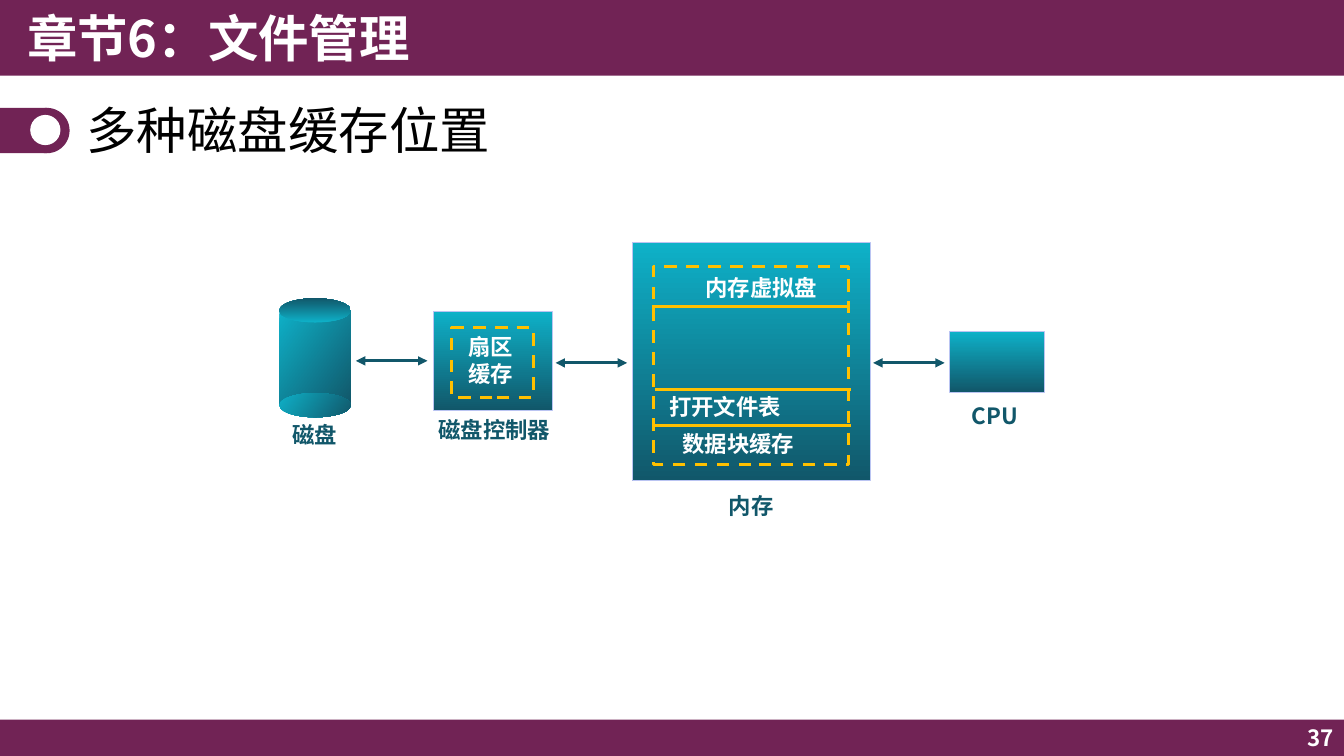
from lxml import etree
from pptx import Presentation
from pptx import util as u
from pptx.dml.color import RGBColor
from pptx.enum import dml, shapes, text
from pptx.oxml.ns import qn

FONT = "Noto Sans CJK SC"
PLUM, WHITE, BLACK = "712355", "FFFFFF", "000000"
AQUA, TEAL, GOLD, EDGE = "0EB1C8", "11576A", "FFC000", "BAC4F2"
RECT, OVAL = shapes.MSO_SHAPE.RECTANGLE, shapes.MSO_SHAPE.OVAL
LEFT, CENTER, RIGHT = text.PP_ALIGN.LEFT, text.PP_ALIGN.CENTER, text.PP_ALIGN.RIGHT
TOP, MIDDLE = text.MSO_ANCHOR.TOP, text.MSO_ANCHOR.MIDDLE
LABEL_HEIGHT = 0.39


def color(value):
    return RGBColor.from_string(value)


def inches(*values):
    return [u.Inches(value) for value in values]


def add_text(page, box, words, size=16, ink=WHITE, bold=True, align=LEFT,
             anchor=TOP, spacing=None):
    """Add a text box with one paragraph for each line of words."""
    frame = page.shapes.add_textbox(*inches(*box)).text_frame
    frame.word_wrap = True
    frame.vertical_anchor = anchor
    for index, line in enumerate(words.split("\n")):
        para = frame.add_paragraph() if index else frame.paragraphs[0]
        para.alignment = align
        para.line_spacing = spacing
        span = para.add_run()
        span.text = line
        span.font.name, span.font.size, span.font.bold = FONT, u.Pt(size), bold
        span.font.color.rgb = color(ink)
        east_asian = etree.SubElement(span.font._element, qn("a:ea"))
        east_asian.set("typeface", FONT)


def finish(shape, fill=None, angle=None, line=None, width=0.75, dashed=False):
    """Paint a shape; an angle (counterclockwise) gives the aqua-teal gradient."""
    shape.shadow.inherit = False
    if angle is not None:
        shape.fill.gradient()
        shape.fill.gradient_angle = angle
        for stop, tint in zip(shape.fill.gradient_stops, (AQUA, TEAL)):
            stop.color.rgb = color(tint)
    elif fill:
        shape.fill.solid()
        shape.fill.fore_color.rgb = color(fill)
    else:
        shape.fill.background()
    if line:
        shape.line.color.rgb = color(line)
        shape.line.width = u.Pt(width)
        if dashed:
            shape.line.dash_style = dml.MSO_LINE.DASH
    else:
        shape.line.fill.background()


def add_shape(page, kind, box, **style):
    finish(page.shapes.add_shape(kind, *inches(*box)), **style)


def add_block(page, box):
    add_shape(page, RECT, box, angle=270, line=EDGE)


def add_dashed_frame(page, box):
    add_shape(page, RECT, box, line=GOLD, width=2.25, dashed=True)


def add_rule(page, left, top, length, ink, arrows=False):
    """Add a horizontal line, with arrowheads at both ends on request."""
    rule = page.shapes.add_connector(
        shapes.MSO_CONNECTOR.STRAIGHT, *inches(left, top, left + length, top))
    rule.line.color.rgb = color(ink)
    rule.line.width = u.Pt(2.25)
    if arrows:
        for end in ("a:headEnd", "a:tailEnd"):
            etree.SubElement(rule.line._get_or_add_ln(), qn(end)).set("type", "triangle")
    etree.SubElement(rule._element.spPr, qn("a:effectLst"))


def draw_bands(page, width, height):
    bar, footer = 0.75, 0.36
    add_shape(page, RECT, (0, height - footer, width, footer), fill=PLUM)
    add_shape(page, RECT, (0, 0, width, bar), fill=PLUM)
    add_text(page, (0.17, 0, 6.67, bar), "章节6：文件管理", size=36, anchor=MIDDLE)
    add_text(page, (width - 3, height - footer, 3, footer), "37",
             align=RIGHT, anchor=MIDDLE)


def draw_heading(page, left, top):
    """Draw the round-ended tab with its hole, and the heading beside it."""
    width, height = 0.69, 0.45
    radius = height / 2
    add_shape(page, RECT, (left, top, width - radius, height), fill=PLUM)
    add_shape(page, OVAL, (left + width - height, top, height, height), fill=PLUM)
    add_shape(page, OVAL, (left + 0.3, top + 0.07, 0.3, 0.3), fill=WHITE)
    add_text(page, (left + 0.76, top - 0.12, 11.81, 0.74), "多种磁盘缓存位置", size=36,
             ink=BLACK, bold=False, anchor=MIDDLE, spacing=0.9)


def draw_disk(page, left, top, width, height):
    rim = 0.24
    add_text(page, (left + 0.03, top + height - 0.01, width, LABEL_HEIGHT), "磁盘", ink=TEAL)
    add_shape(page, RECT, (left, top + rim / 2, width, height - rim), angle=324)
    add_shape(page, OVAL, (left, top + height - rim, width, rim), angle=324)
    add_shape(page, OVAL, (left, top, width, rim), angle=90)


def draw_controller(page, left, top, width, height):
    add_block(page, (left, top, width, height))
    add_dashed_frame(page, (left + 0.18, top + 0.16, 0.81, 0.69))
    add_text(page, (left - 0.05, top + height + 0.01, 1.34, LABEL_HEIGHT), "磁盘控制器", ink=TEAL)
    add_text(page, (left + 0.25, top + 0.17, 0.83, 0.63), "扇区\n缓存")


def draw_memory(page, left, top, width, height):
    add_block(page, (left, top, width, height))
    add_dashed_frame(page, (left + 0.21, top + 0.23, 1.94, 1.97))
    for inset, drop in ((0.2, 0.63), (0.23, 1.45), (0.23, 1.81)):
        add_rule(page, left + inset, top + drop, 1.94, GOLD)
    for inset, drop, words in ((0.63, 0.26, "内存虚拟盘"), (0.27, 1.44, "打开文件表"),
                               (0.4, 1.81, "数据块缓存")):
        add_text(page, (left + inset, top + drop, 1.73, LABEL_HEIGHT), words)
    add_text(page, (left, top + height + 0.06, width, LABEL_HEIGHT), "内存",
             ink=TEAL, align=CENTER)


def draw_cpu(page, left, top, width, height):
    add_text(page, (left + 0.12, top + height + 0.05, 0.71, LABEL_HEIGHT), "CPU", ink=TEAL)
    add_block(page, (left, top, width, height))


def main():
    deck = Presentation()
    deck.slide_width, deck.slide_height = inches(13.33, 7.5)
    page = deck.slides.add_slide(deck.slide_layouts[6])
    draw_bands(page, 13.33, 7.5)
    draw_heading(page, 0, 1.07)
    draw_disk(page, 2.77, 2.96, 0.71, 1.18)
    draw_controller(page, 4.3, 3.09, 1.18, 0.98)
    draw_memory(page, 6.27, 2.41, 2.36, 2.36)
    draw_cpu(page, 9.42, 3.29, 0.94, 0.6)
    for left, top in ((3.53, 3.58), (5.51, 3.6), (8.66, 3.6)):
        add_rule(page, left, top, 0.71, TEAL, arrows=True)
    deck.save("out.pptx")


if __name__ == "__main__":
    main()
